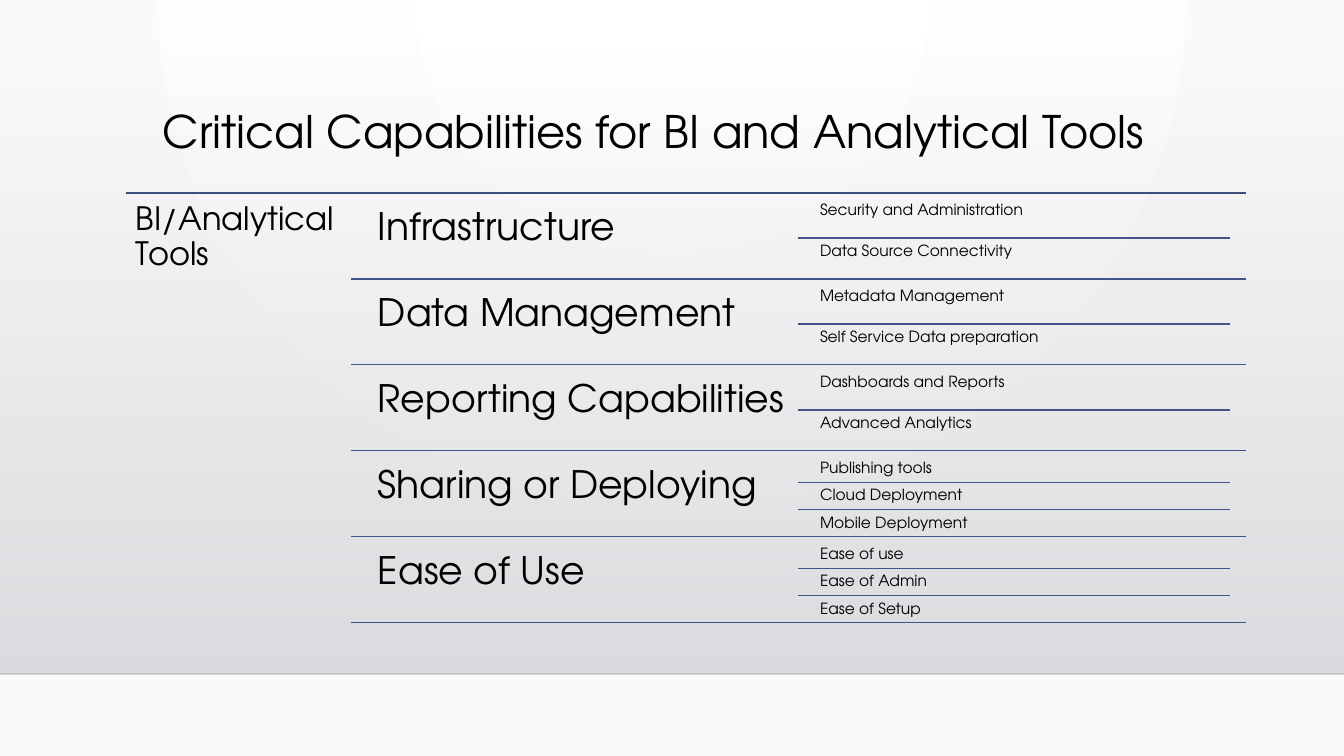
"""Build the slide on critical capabilities for BI and analytical tools."""
from lxml.etree import SubElement
from pptx import Presentation
from pptx.dml.color import RGBColor
from pptx.enum.shapes import MSO_CONNECTOR, MSO_SHAPE
from pptx.enum.text import MSO_ANCHOR, MSO_AUTO_SIZE, PP_ALIGN
from pptx.oxml.ns import qn
from pptx.util import Pt

SCALE = 914400 / 100.8
FONT = "TeX Gyre Adventor"
BLACK = RGBColor(0x00, 0x00, 0x00)
FLOOR_EDGE = RGBColor(0x00, 0x00, 0x01)
WHITE = RGBColor(0xFF, 0xFF, 0xFF)
OFF_WHITE = RGBColor(0xFA, 0xFA, 0xFA)
HAZE_TOP = RGBColor(0xDC, 0xDC, 0xE0)
HAZE_BOTTOM = RGBColor(0xDE, 0xDE, 0xE2)
TOP_RULE = RGBColor(0x3B, 0x4D, 0x7B)
RULE = RGBColor(0x41, 0x55, 0x88)

CAPABILITIES = [
    ("Infrastructure", ["Security and Administration", "Data Source Connectivity"]),
    ("Data Management", ["Metadata Management", "Self Service Data preparation"]),
    ("Reporting Capabilities", ["Dashboards and Reports", "Advanced Analytics"]),
    ("Sharing or Deploying", ["Publishing tools", "Cloud Deployment", "Mobile Deployment"]),
    ("Ease of Use", ["Ease of use", "Ease of Admin", "Ease of Setup"]),
]
TABLE_TOP, ROW_PITCH, ROW_GAP = 193, 86, 4


def px(length):
    """Turn pixels into EMU."""
    return round(length * SCALE)


def set_opacity(owner, percent):
    """Give the first colour inside an element an opacity."""
    color = next(owner.iter(qn("a:srgbClr")))
    SubElement(color, qn("a:alpha"), val=str(percent * 1000))


def set_gradient(fill, start, end):
    """Fill with a downward gradient of two colours and return its element."""
    fill.gradient()
    fill.gradient_angle = 270
    for stop, color, position in zip(fill.gradient_stops, (start, end), (0, 1)):
        stop.color.rgb = color
        stop.position = position
    return fill._xPr.find(qn("a:gradFill"))


def write(shape, text, size, inset, align=PP_ALIGN.LEFT):
    """Write formatted text into a shape."""
    frame = shape.text_frame
    frame.word_wrap = True
    frame.auto_size = MSO_AUTO_SIZE.NONE
    frame.vertical_anchor = MSO_ANCHOR.TOP
    frame.margin_left = frame.margin_right = px(inset)
    frame.margin_top = frame.margin_bottom = px(inset)
    paragraph = frame.paragraphs[0]
    paragraph.alignment = align
    paragraph.line_spacing = 0.9
    run = paragraph.add_run()
    run.text = text
    run.font.name = FONT
    run.font.size = Pt(size)
    run.font.color.rgb = BLACK


def add_label(slide, text, left, top, width, height, **text_format):
    """Add a text box."""
    box = slide.shapes.add_textbox(px(left), px(top), px(width), px(height))
    write(box, text, **text_format)


def add_rule(slide, left, right, y, color=RULE, width=0.75):
    """Add a horizontal line without a shadow."""
    rule = slide.shapes.add_connector(
        MSO_CONNECTOR.STRAIGHT, px(left), px(y), px(right), px(y))
    rule.line.color.rgb = color
    rule.line.width = Pt(width)
    SubElement(rule._element.spPr, qn("a:effectLst"))
    return rule


def add_backdrop(slide):
    """Add the spotlight background, the haze and the floor edge."""
    spotlight = set_gradient(slide.background.fill, WHITE, OFF_WHITE)
    spotlight.remove(spotlight.find(qn("a:lin")))
    circle = SubElement(spotlight, qn("a:path"), path="circle")
    SubElement(circle, qn("a:fillToRect"), l="43000", t="0", r="43000", b="100000")
    haze = slide.shapes.add_shape(
        MSO_SHAPE.RECTANGLE, 0, px(51), px(1344), px(623))
    haze.shadow.inherit = False
    haze.line.fill.background()
    set_opacity(set_gradient(haze.fill, HAZE_TOP, HAZE_BOTTOM), 0)
    floor_edge = add_rule(slide, 0, 1344, 674, FLOOR_EDGE, 1)
    set_opacity(floor_edge._element.spPr, 20)


def add_title(slide):
    """Place and write the title in front of the backdrop."""
    title = slide.shapes.title
    title.left, title.top, title.width, title.height = map(px, (125, 105, 1058, 116))
    write(title, "Critical Capabilities for BI and Analytical Tools",
          size=32, inset=5, align=PP_ALIGN.CENTER)
    slide.shapes._spTree.append(title._element)


def add_capability(slide, name, features, row_top):
    """Add one capability with its features and dividing lines."""
    top = row_top + ROW_GAP
    height = ROW_PITCH - ROW_GAP
    add_label(slide, name, 367, top, 431, height, size=27, inset=11)
    step = height / len(features)
    for index, feature in enumerate(features):
        y = top + index * step
        if index:
            add_rule(slide, 798, 1230, y)
        add_label(slide, feature, 815, y, 431, step, size=11, inset=5)
    add_rule(slide, 351, 1246, row_top + ROW_PITCH)


def main():
    """Build and save the presentation."""
    deck = Presentation()
    deck.slide_width, deck.slide_height = px(1344), px(756)
    slide = deck.slides.add_slide(deck.slide_layouts[5])
    add_backdrop(slide)
    add_title(slide)
    add_rule(slide, 126, 1246, TABLE_TOP, TOP_RULE)
    add_label(slide, "BI/Analytical Tools", 126, TABLE_TOP, 224, 434,
              size=23, inset=10)
    for row, (name, features) in enumerate(CAPABILITIES):
        add_capability(slide, name, features, TABLE_TOP + row * ROW_PITCH)
    deck.save("out.pptx")


main()
